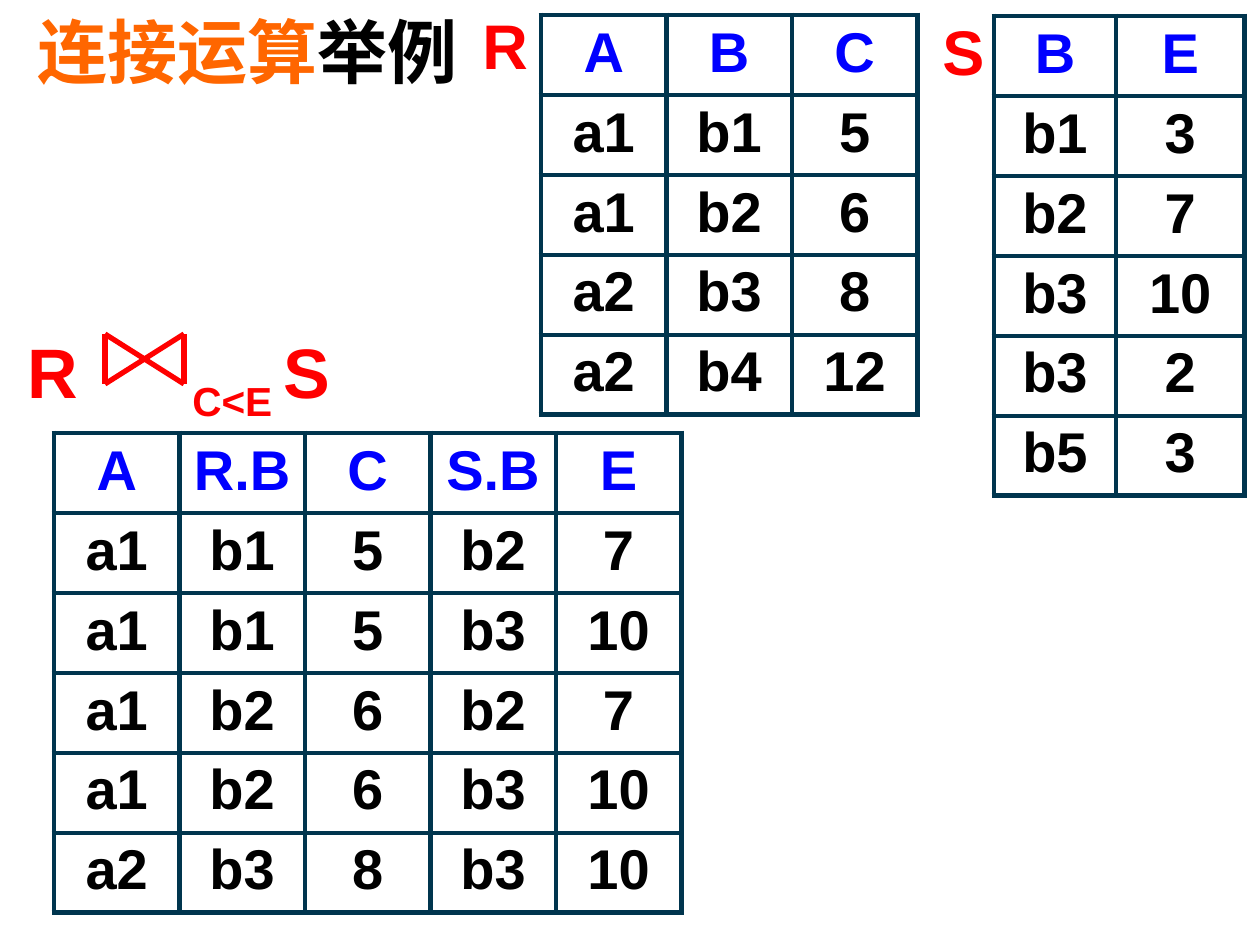
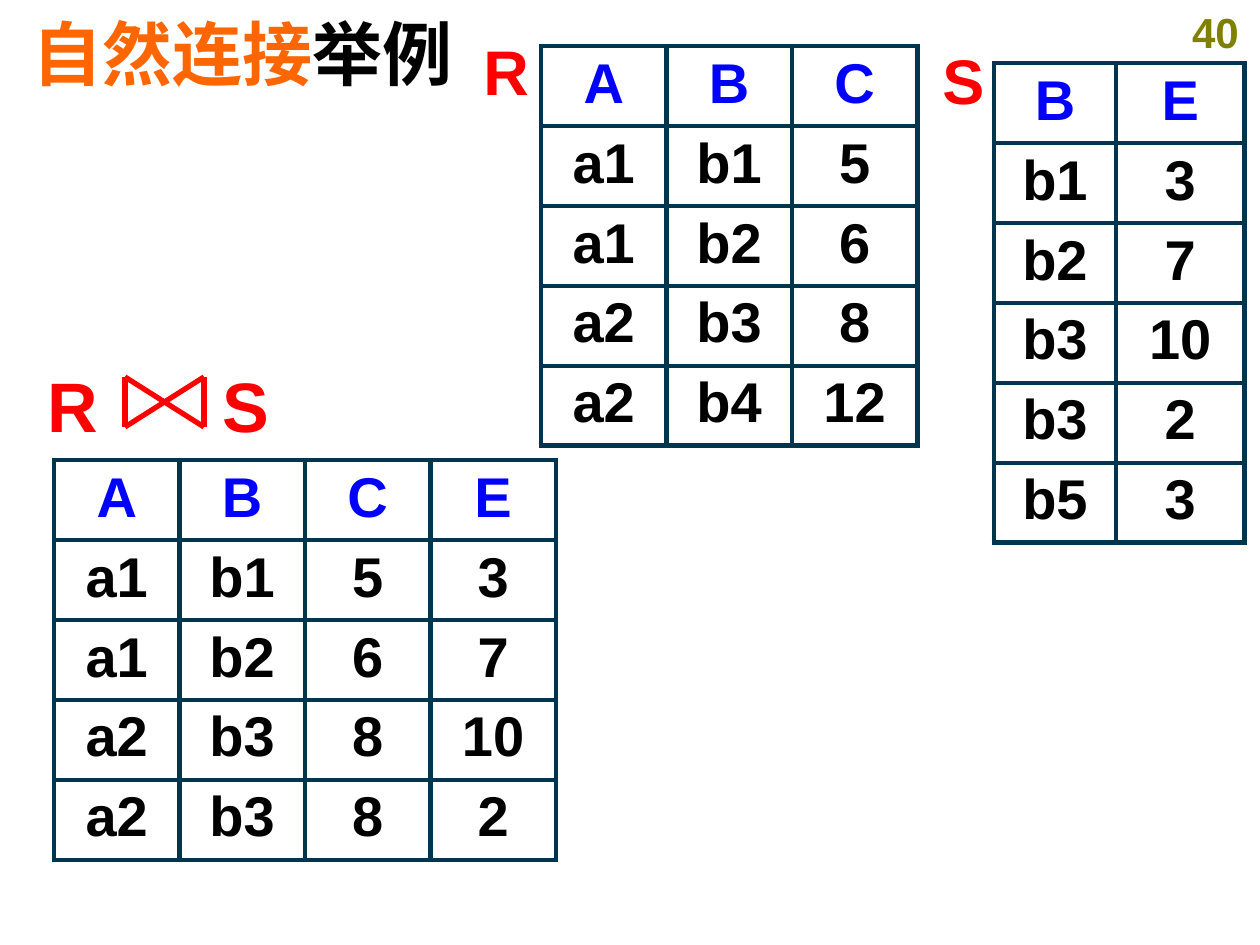
"""Build two slides of join examples with their relation tables."""
import lxml.etree
import pptx
import pptx.dml.color
import pptx.enum.shapes
import pptx.enum.text
import pptx.oxml.ns
import pptx.util

UNIT = 914400 / 126
LATIN = "Arial"
HAN = "Noto Sans CJK SC"
RED, BLUE, BLACK, WHITE = "FF0000", "0000FF", "000000", "FFFFFF"
ORANGE, OLIVE, NAVY = "FF6600", "808000", "00354E"
ALIGN = pptx.enum.text.PP_ALIGN
ANCHOR = pptx.enum.text.MSO_ANCHOR

R_ROWS = ["A B C", "a1 b1 5", "a1 b2 6", "a2 b3 8", "a2 b4 12"]
S_ROWS = ["B E", "b1 3", "b2 7", "b3 10", "b3 2", "b5 3"]
THETA = ["A R.B C S.B E", "a1 b1 5 b2 7", "a1 b1 5 b3 10",
         "a1 b2 6 b2 7", "a1 b2 6 b3 10", "a2 b3 8 b3 10"]
NATURAL = ["A B C E", "a1 b1 5 3", "a1 b2 6 7", "a2 b3 8 10", "a2 b3 8 2"]


def px(n):
    return pptx.util.Emu(round(n * UNIT))


def color(code):
    return pptx.dml.color.RGBColor.from_string(code)


def add(parent, tag, **attrs):
    return lxml.etree.SubElement(parent, pptx.oxml.ns.qn(tag), attrs)


class Deck:
    def __init__(self):
        self.prs = pptx.Presentation()
        self.prs.slide_width = px(1260)
        self.prs.slide_height = px(945)
        self.slide = None

    def page(self):
        self.slide = self.prs.slides.add_slide(self.prs.slide_layouts[6])

    def style(self, run, size, code, face=LATIN):
        font = run.font
        font.size = pptx.util.Pt(size)
        font.bold = True
        font.name = face
        font.color.rgb = color(code)
        add(run._r.get_or_add_rPr(), "a:ea", typeface=HAN)

    def text(self, box, parts, size, face=LATIN, wrap=True):
        frame = self.slide.shapes.add_textbox(*map(px, box)).text_frame
        frame.word_wrap = wrap
        para = frame.paragraphs[0]
        for words, code in parts:
            run = para.add_run()
            run.text = words
            self.style(run, size, code, face)
        return frame

    def title(self, box, topic):
        frame = self.text(box, [(topic, ORANGE), ("举例", BLACK)], 40, HAN)
        frame.vertical_anchor = ANCHOR.MIDDLE

    def label(self, x, y, name):
        self.text((x, y, 70, 88), [(name, RED)], 36, wrap=False)

    def number(self, value):
        frame = self.text((1171, 0, 89, 63), [(value, OLIVE)], 24)
        frame.paragraphs[0].alignment = ALIGN.CENTER

    def formula(self, box, stop, parts):
        frame = self.text(box, [(part, RED) for part in parts], 40)
        para = frame.paragraphs[0]
        para.line_spacing = 1.5
        tabs = add(para._p.get_or_add_pPr(), "a:tabLst")
        add(tabs, "a:tab", pos=str(px(stop)), algn="l")
        return para

    def line(self, x1, y1, x2, y2):
        kind = pptx.enum.shapes.MSO_CONNECTOR.STRAIGHT
        link = self.slide.shapes.add_connector(kind, *map(px, (x1, y1, x2, y2)))
        link.line.color.rgb = color(RED)
        link.line.width = pptx.util.Pt(3)
        add(link._element.spPr, "a:effectLst")

    def bowtie(self, x, y):
        right, low = x + 79, y + 50
        self.line(x, y, x, low)
        self.line(right, y, right, low)
        self.line(x, y, right, low)
        self.line(x, low, right, y)

    def border(self, cell):
        props = cell._tc.get_or_add_tcPr()
        for side in ("a:lnL", "a:lnR", "a:lnT", "a:lnB"):
            edge = add(props, side, w=str(pptx.util.Pt(3)))
            add(add(edge, "a:solidFill"), "a:srgbClr", val=NAVY)

    def table(self, x, y, widths, rows, high=80):
        size = (x, y, sum(widths), high * len(rows))
        grid = self.slide.shapes.add_table(
            len(rows), len(widths), *map(px, size)).table
        grid.first_row = grid.horz_banding = False
        for col, wide in zip(grid.columns, widths):
            col.width = px(wide)
        for i, row in enumerate(rows):
            grid.rows[i].height = px(high)
            for j, value in enumerate(row.split()):
                cell = grid.cell(i, j)
                self.border(cell)
                cell.fill.solid()
                cell.fill.fore_color.rgb = color(WHITE)
                para = cell.text_frame.paragraphs[0]
                para.text = value
                para.alignment = ALIGN.CENTER
                self.style(para.runs[0], 32, BLACK if i else BLUE)

    def inputs(self, r_top, s_top):
        self.table(541, r_top, [125.5] * 3, R_ROWS)
        self.table(994, s_top, [122, 128.5], S_ROWS)


def main():
    deck = Deck()

    deck.page()
    deck.title((25, 16, 1193, 69), "连接运算")
    para = deck.formula((15, 275, 1225, 149), 165, ["R\t", "C<E ", "S"])
    para.runs[1]._r.get_or_add_rPr().set("baseline", "-25000")
    deck.label(470, 0, "R")
    deck.label(930, 6, "S")
    deck.bowtie(105, 334)
    deck.inputs(15, 16)
    deck.table(54, 433, [125.5] * 5, THETA)

    deck.page()
    deck.number("40")
    deck.title((20, 10, 1150, 84), "自然连接")
    deck.formula((35, 314, 277, 149), 175, ["R\tS"])
    deck.label(471, 26, "R")
    deck.label(930, 35, "S")
    deck.bowtie(125, 377)
    deck.inputs(46, 63)
    deck.table(54, 460, [125.5] * 4, NATURAL)

    deck.prs.save("out.pptx")


if __name__ == "__main__":
    main()
